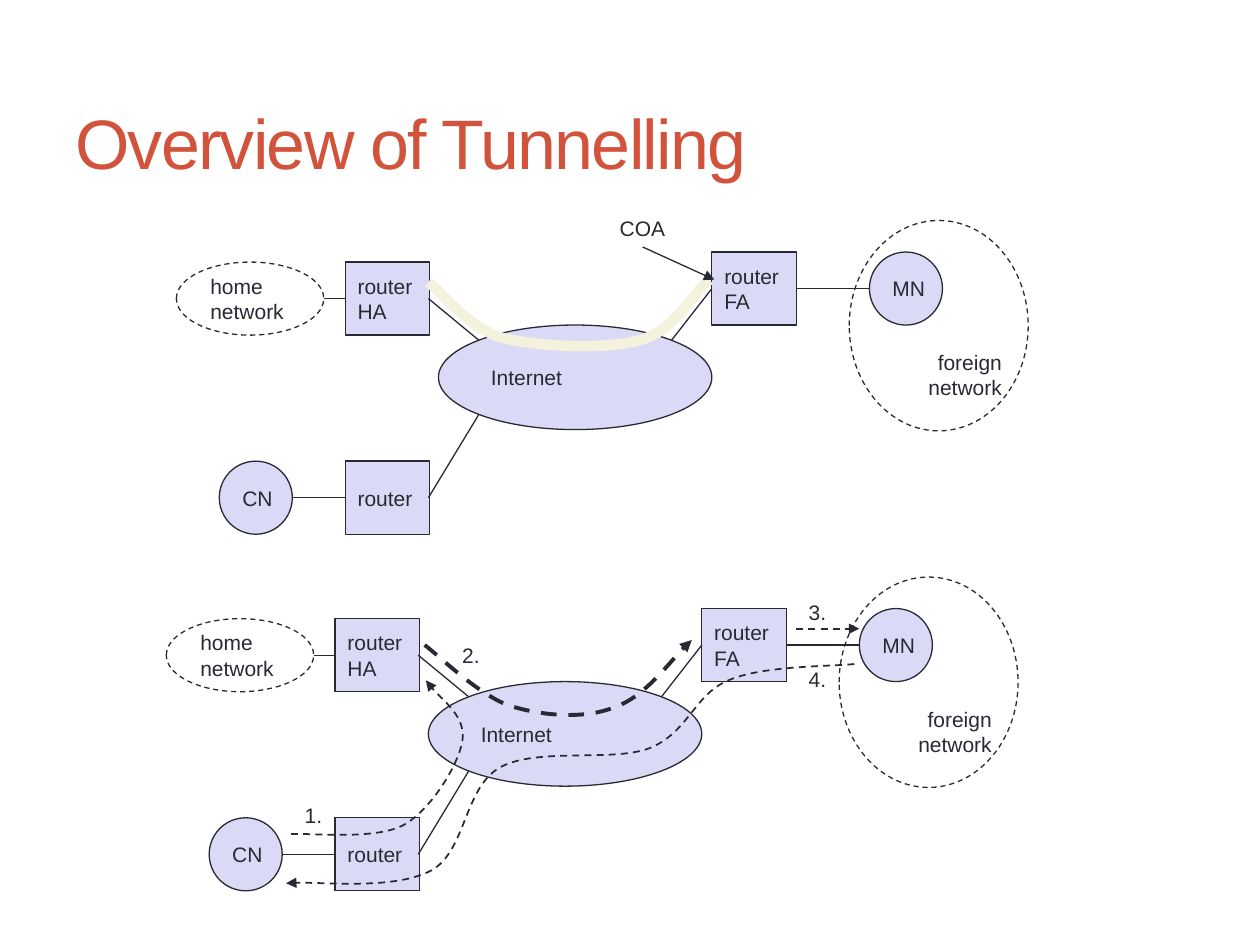
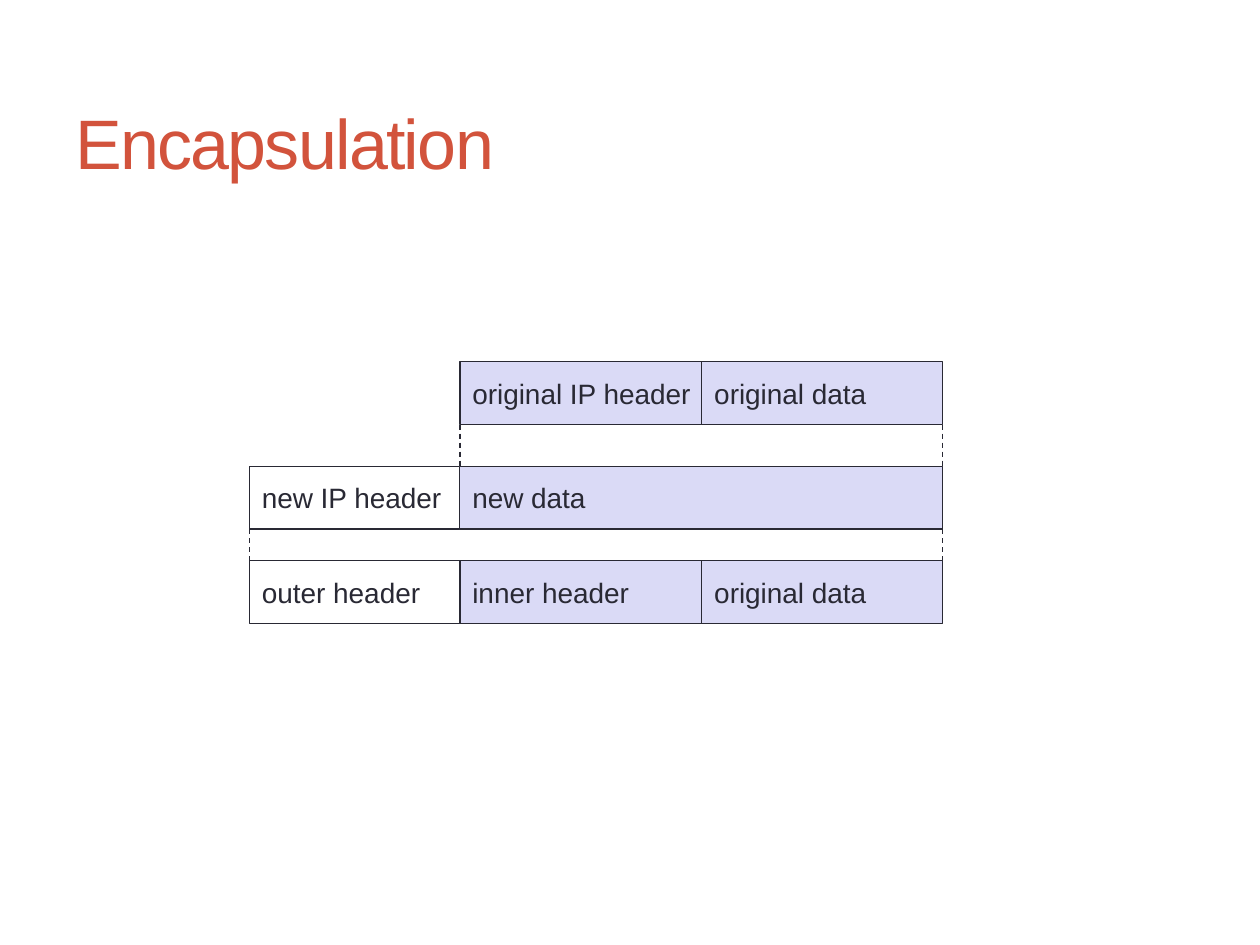
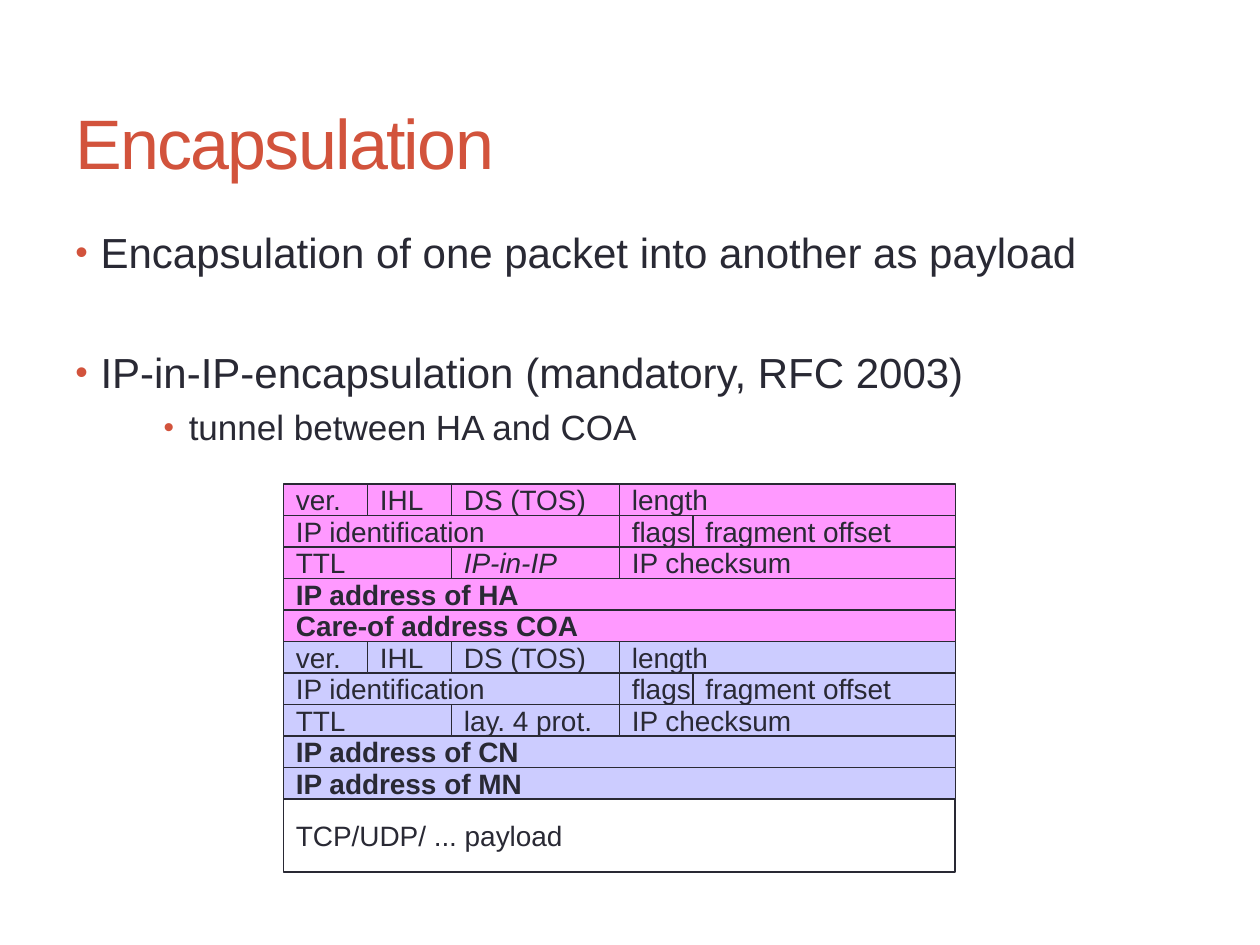
from lxml import etree
from pptx import Presentation
from pptx.dml.color import RGBColor
from pptx.enum.dml import MSO_LINE
from pptx.enum.shapes import MSO_CONNECTOR, MSO_SHAPE
from pptx.enum.text import MSO_ANCHOR, PP_ALIGN
from pptx.oxml.ns import qn
from pptx.util import Inches, Pt

FONT = "Arial"
INK = RGBColor(0x29, 0x29, 0x34)
ACCENT = RGBColor(0xD2, 0x53, 0x3C)
LAVENDER = RGBColor(0xDA, 0xDA, 0xF6)
CREAM = RGBColor(0xF3, 0xF2, 0xDC)
PINK = RGBColor(0xFF, 0x99, 0xFF)
BLUE = RGBColor(0xCC, 0xCC, 0xFF)
WHITE = RGBColor(0xFF, 0xFF, 0xFF)

RECT, ELLIPSE = MSO_SHAPE.RECTANGLE, MSO_SHAPE.OVAL
STRAIGHT = MSO_CONNECTOR.STRAIGHT
DASH = MSO_LINE.DASH
LEFT, RIGHT = PP_ALIGN.LEFT, PP_ALIGN.RIGHT
MIDDLE, BOTTOM = MSO_ANCHOR.MIDDLE, MSO_ANCHOR.BOTTOM

NODE = 0.58
ROUTER_W = 0.67

OUTER_HEADER = [
    [("ver.", 4), ("IHL", 4), ("DS (TOS)", 8), ("length", 16)],
    [("IP identification", 16), ("flags", 3.5), ("fragment offset", 12.5)],
    [("TTL", 8), ("IP-in-IP", 8), ("IP checksum", 16)],
    [("IP address of HA", 32)],
    [("Care-of address COA", 32)],
]
INNER_HEADER = OUTER_HEADER[:2] + [
    [("TTL", 8), ("lay. 4 prot.", 8), ("IP checksum", 16)],
    [("IP address of CN", 32)],
    [("IP address of MN", 32)],
]


def style_runs(paragraph, size, color=INK, bold=False, italic=False):
    """Give every run of a paragraph the deck's font."""
    for run in paragraph.runs:
        run.font.name, run.font.size = FONT, Pt(size)
        run.font.bold, run.font.italic = bold, italic
        run.font.color.rgb = color


def style_line(line, color=INK, width=0.75, dashed=False, arrow=False):
    """Format an outline, dash and arrowhead."""
    line.color.rgb = color
    line.width = Pt(width)
    if dashed:
        line.dash_style = DASH
    if arrow:
        outline = line._get_or_add_ln()
        etree.SubElement(outline, qn("a:tailEnd"), type="triangle")


def add_text(slide, text, left, top, width, height, size, color=INK, wrap=False):
    """Add a text box and return it."""
    box = slide.shapes.add_textbox(
        Inches(left), Inches(top), Inches(width), Inches(height))
    frame = box.text_frame
    frame.word_wrap = wrap
    frame.text = text
    for paragraph in frame.paragraphs:
        style_runs(paragraph, size, color)
    return box


def add_box(slide, kind, text, left, top, width, height, fill=LAVENDER, size=12,
            dashed=False, align=LEFT, anchor=MIDDLE, bold=False, italic=False):
    """Add an outlined shape with a label and return it."""
    box = slide.shapes.add_shape(
        kind, Inches(left), Inches(top), Inches(width), Inches(height))
    box.shadow.inherit = False
    if fill is None:
        box.fill.background()
    else:
        box.fill.solid()
        box.fill.fore_color.rgb = fill
    style_line(box.line, dashed=dashed)
    frame = box.text_frame
    frame.word_wrap = False
    frame.vertical_anchor = anchor
    frame.text = text
    for paragraph in frame.paragraphs:
        paragraph.alignment = align
        style_runs(paragraph, size, bold=bold, italic=italic)
    return box


def add_line(slide, start, end, **look):
    """Add a straight connector."""
    line = slide.shapes.add_connector(
        STRAIGHT, *(Inches(value) for value in (*start, *end)))
    style_line(line.line, **look)
    etree.SubElement(line._element.spPr, qn("a:effectLst"))


def add_curve(slide, points, **look):
    """Add an open cubic curve through a start and triples of control points."""
    start, *controls = [(Inches(x), Inches(y)) for x, y in points]
    builder = slide.shapes.build_freeform(*start, scale=1.0)
    builder.add_line_segments(controls, close=False)
    curve = builder.convert_to_shape()
    curve.shadow.inherit = False
    curve.fill.background()
    style_line(curve.line, **look)
    outline = next(curve._element.iter(qn("a:path")))
    steps = outline.findall(qn("a:lnTo"))
    for first in range(0, len(steps), 3):
        bezier = etree.SubElement(outline, qn("a:cubicBezTo"))
        for step in steps[first:first + 3]:
            bezier.append(step[0])
            outline.remove(step)


def add_bullet(paragraph, margin, size, space_before):
    """Turn a paragraph into an accent-bulleted item."""
    paragraph.space_before = Pt(space_before)
    style_runs(paragraph, size)
    properties = paragraph._p.get_or_add_pPr()
    properties.set("marL", str(Inches(margin)))
    properties.set("indent", str(Inches(-0.2)))
    color = etree.SubElement(properties, qn("a:buClr"))
    etree.SubElement(color, qn("a:srgbClr"), val=str(ACCENT))
    etree.SubElement(properties, qn("a:buSzPct"), val="85000")
    etree.SubElement(properties, qn("a:buFont"), typeface=FONT)
    etree.SubElement(properties, qn("a:buChar"), char="•")


def add_titled_slide(deck, title):
    """Add a blank slide with the shared title style."""
    slide = deck.slides.add_slide(deck.slide_layouts[6])
    heading = add_text(slide, title, 0.5, 0.58, 9, 1.08, 40, ACCENT, wrap=True)
    heading.text_frame.vertical_anchor = MIDDLE
    for run in heading.text_frame.paragraphs[0].runs:
        run.font._element.set("spc", "-100")
    return slide


def add_network(slide, x, y):
    """Draw the mobile network with its home ellipse's corner at x, y."""
    nodes = [
        (ELLIPSE, "CN", 0.34, 1.58, NODE, NODE),
        (RECT, "router\nHA", 1.34, 0, ROUTER_W, NODE),
        (RECT, "router\nFA", 4.25, -0.08, ROUTER_W, NODE),
        (ELLIPSE, "Internet", 2.08, 0.5, 2.17, 0.83),
        (RECT, "router", 1.34, 1.58, ROUTER_W, NODE),
        (ELLIPSE, "MN", 5.5, -0.08, NODE, NODE),
    ]
    links = [
        ((2, 1.87), (2.4, 1.21)), ((2, 0.29), (2.4, 0.62)),
        ((3.93, 0.62), (4.25, 0.21)), ((0.92, 1.87), (1.34, 1.87)),
        ((4.92, 0.21), (5.5, 0.21)), ((1.17, 0.29), (1.34, 0.29)),
    ]
    for kind, label, dx, dy, width, height in nodes:
        add_box(slide, kind, label, x + dx, y + dy, width, height)
    for (x1, y1), (x2, y2) in links:
        add_line(slide, (x + x1, y + y1), (x + x2, y + y2))
    add_box(slide, ELLIPSE, "home\nnetwork", x, y, 1.17, NODE, None, dashed=True)
    foreign = add_box(slide, ELLIPSE, "foreign\nnetwork", x + 5.34, y - 0.33,
                      1.42, 1.67, None, dashed=True, align=RIGHT, anchor=BOTTOM)
    frame = foreign.text_frame
    frame.margin_left = frame.margin_right = 0
    frame.margin_top = frame.margin_bottom = 0


def build_tunnelling(deck):
    """Build the tunnel overview and the packet route below it."""
    slide = add_titled_slide(deck, "Overview of Tunnelling")
    add_network(slide, 1.32, 4.91)
    request = [(2.31, 6.62), (2.46, 6.61), (2.97, 6.67), (3.2, 6.55), (3.42, 6.43),
               (3.64, 6.07), (3.67, 5.88), (3.7, 5.69), (3.44, 5.5), (3.38, 5.4)]
    tunnelled = [(3.37, 5.12), (3.48, 5.2), (3.79, 5.51), (4.04, 5.6), (4.29, 5.68),
                 (4.62, 5.71), (4.86, 5.62), (5.11, 5.54), (5.36, 5.19), (5.49, 5.08)]
    reply = [(6.78, 5.27), (6.61, 5.29), (6.05, 5.28), (5.78, 5.4), (5.51, 5.51),
             (5.46, 5.82), (5.15, 5.94), (4.85, 6.05), (4.26, 5.93), (3.97, 6.09),
             (3.68, 6.25), (3.7, 6.76), (3.42, 6.91), (3.13, 7.06), (2.51, 6.99),
             (2.27, 7.01)]
    for route, width in ((request, 1), (tunnelled, 2.25), (reply, 1)):
        add_curve(slide, route, width=width, dashed=True, arrow=True)
    add_line(slide, (6.32, 4.99), (6.82, 4.99), width=1, dashed=True, arrow=True)
    steps = [(2.32, 6.32), (3.57, 5.05), (6.32, 4.71), (6.32, 5.24)]
    for number, (left, top) in enumerate(steps, 1):
        add_text(slide, f"{number}.", left, top, 0.34, 0.3, 12)

    add_network(slide, 1.4, 2.08)
    tunnel = [(3.4, 2.24), (3.5, 2.31), (3.71, 2.6), (3.98, 2.68), (4.26, 2.75),
              (4.8, 2.78), (5.08, 2.7), (5.35, 2.63), (5.51, 2.32), (5.63, 2.22)]
    add_curve(slide, tunnel, color=CREAM, width=6)
    add_text(slide, "COA", 4.82, 1.66, 0.56, 0.3, 12)
    add_line(slide, (5.1, 1.96), (5.67, 2.22), arrow=True)


def build_packet_layers(deck):
    """Build the three stages of wrapping a packet."""
    slide = add_titled_slide(deck, "Encapsulation")
    start, inner, data, end = 1.98, 3.65, 5.57, 7.48
    stages = [
        (2.87, [("original IP header", inner, data, LAVENDER),
                ("original data", data, end, LAVENDER)]),
        (3.7, [("new data", inner, end, LAVENDER),
               ("new IP header", start, inner, WHITE)]),
        (4.45, [("outer header", start, inner, WHITE),
                ("inner header", inner, data, LAVENDER),
                ("original data", data, end, LAVENDER)]),
    ]
    for top, parts in stages:
        for label, left, right, fill in parts:
            add_box(slide, RECT, label, left, top, right - left, 0.5, fill, 16)
    for x, top, bottom in ((inner, 3.37, 3.7), (end, 3.37, 3.7),
                           (start, 4.2, 4.54), (end, 4.2, 4.54)):
        add_line(slide, (x, top), (x, bottom), dashed=True)


def add_header(slide, rows, top, fill):
    """Draw a 32-bit-wide packet header, lowest row first."""
    row_height, bit = 0.25, 1 / 6
    for index, fields in reversed(list(enumerate(rows))):
        left = 2.25
        for label, bits in fields:
            add_box(slide, RECT, label, left, top + index * row_height, bits * bit,
                    row_height, fill, 16, bold=bits == 32, italic=label == "IP-in-IP")
            left += bits * bit


def build_ip_in_ip(deck):
    """Build the bullets and the IP-in-IP packet layout."""
    slide = add_titled_slide(deck, "Encapsulation")
    items = [
        ("Encapsulation of one packet into another as payload", 0.2, 24, 2.4),
        ("IP-in-IP-encapsulation (mandatory, RFC 2003)", 0.2, 24, 39.8),
        ("tunnel between HA and COA", 0.9, 20, 5),
    ]
    body = add_text(slide, "\n".join(item[0] for item in items),
                    0.5, 1.75, 9, 5.33, 24, wrap=True)
    for paragraph, (_, margin, size, gap) in zip(body.text_frame.paragraphs, items):
        add_bullet(paragraph, margin, size, gap)
    body.text_frame.paragraphs[2].level = 1
    add_header(slide, OUTER_HEADER, 3.84, PINK)
    add_header(slide, INNER_HEADER, 5.09, BLUE)
    add_box(slide, RECT, "TCP/UDP/ ... payload", 2.25, 6.34, 5.33, 0.58, None, 16)


def main():
    """Build and save the deck."""
    deck = Presentation()
    deck.slide_width, deck.slide_height = Inches(10), Inches(7.5)
    build_tunnelling(deck)
    build_packet_layers(deck)
    build_ip_in_ip(deck)
    deck.save("out.pptx")


if __name__ == "__main__":
    main()
